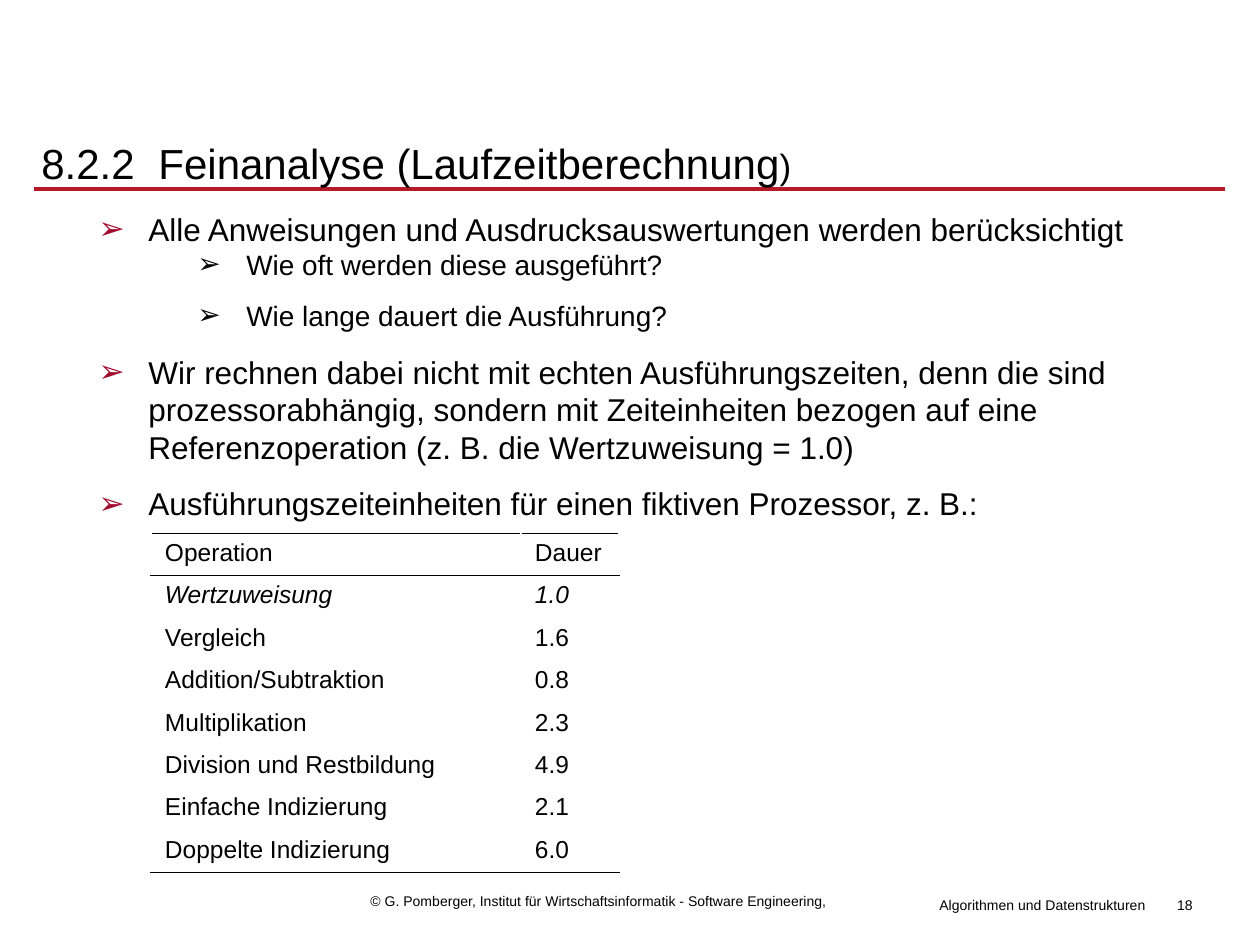
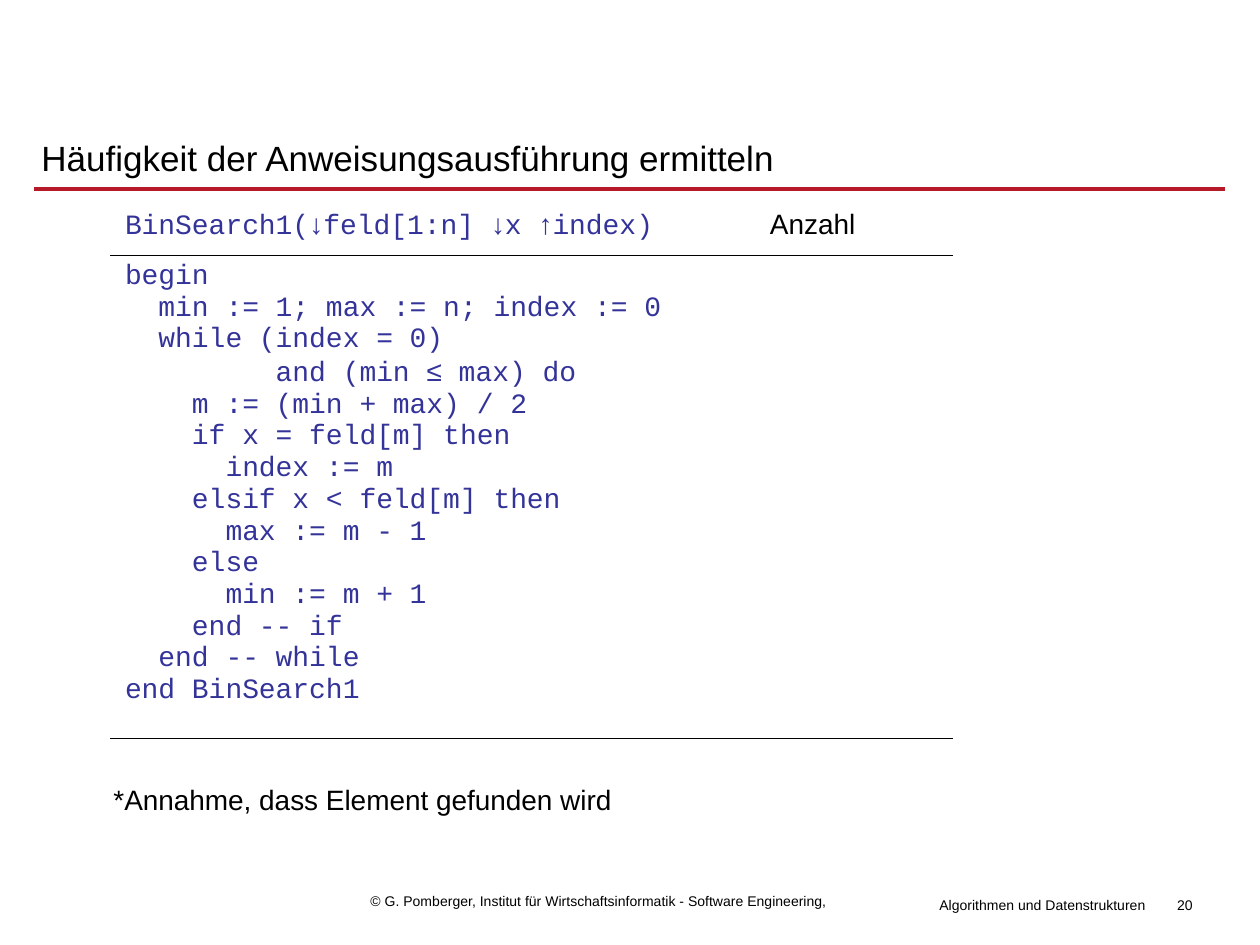
import itertools

import lxml.etree
import pptx
import pptx.dml.color
import pptx.enum.shapes
import pptx.enum.text
import pptx.oxml.ns
import pptx.util

EMU_PER_PX = 914400 / 126
BLACK, RULE_RED, BULLET_RED, CODE_BLUE = "000000", "B61A29", "A20D30", "333399"
BODY_FONT, CODE_FONT = "Arial", "Courier New"
ALIGN = pptx.enum.text.PP_ALIGN
ANCHOR = pptx.enum.text.MSO_ANCHOR

TITLE_BOX = (29, 110, 1201, 96)
COPYRIGHT = "© G. Pomberger, Institut für Wirtschaftsinformatik - Software Engineering,"
COURSE = "Algorithmen und Datenstrukturen"

# Per outline level: left edge of text, hanging indent, size, line pitch, bullet colour
LEVELS = {
    1: (100, 50, 18, 21.4, BULLET_RED),
    2: (198, 49, 16, 19.1, BLACK),
}
# Level, space before in points, text
OUTLINE = [
    (1, 0, "Alle Anweisungen und Ausdrucksauswertungen werden berücksichtigt"),
    (2, 0, "Wie oft werden diese ausgeführt?"),
    (2, 10, "Wie lange dauert die Ausführung?"),
    (1, 12, "Wir rechnen dabei nicht mit echten Ausführungszeiten, denn die sind "
            "prozessorabhängig, sondern mit Zeiteinheiten bezogen auf eine "
            "Referenzoperation (z. B. die Wertzuweisung = 1.0)"),
    (1, 11, "Ausführungszeiteinheiten für einen fiktiven Prozessor, z. B.:"),
]
DURATIONS = [
    ("Operation", "Dauer"),
    ("Wertzuweisung", "1.0"),
    ("Vergleich", "1.6"),
    ("Addition/Subtraktion", "0.8"),
    ("Multiplikation", "2.3"),
    ("Division und Restbildung", "4.9"),
    ("Einfache Indizierung", "2.1"),
    ("Doppelte Indizierung", "6.0"),
]
CODE_HEAD = "BinSearch1(↓feld[1:n] ↓x ↑index)"
CODE = """\
begin
  min := 1; max := n; index := 0
  while (index = 0)
         and (min ≤ max) do
    m := (min + max) / 2
    if x = feld[m] then
      index := m
    elsif x < feld[m] then
      max := m - 1
    else
      min := m + 1
    end -- if
  end -- while
end BinSearch1"""


def px(length):
    return pptx.util.Emu(round(length * EMU_PER_PX))


def color(value):
    return pptx.dml.color.RGBColor.from_string(value)


def add_element(parent, tag, **attributes):
    element = lxml.etree.SubElement(parent, pptx.oxml.ns.qn(tag))
    for name, value in attributes.items():
        element.set(name, str(value))
    return element


def write(frame, text, size=16, font=BODY_FONT, fill=BLACK, italic=False,
          align=ALIGN.LEFT, before=0, pitch=None, bullet=None, tab=None):
    """Write one paragraph; text is a string or a list of (text, size, font)."""
    paragraph = frame.paragraphs[0]
    if paragraph.runs:
        paragraph = frame.add_paragraph()
    properties = paragraph._p.get_or_add_pPr()
    if bullet:
        margin, hanging, bullet_color = bullet
        properties.set("marL", str(px(margin + 12)))
        properties.set("indent", str(-px(hanging)))
        add_element(add_element(properties, "a:buClr"), "a:srgbClr", val=bullet_color)
        add_element(properties, "a:buFont", typeface=BODY_FONT)
        add_element(properties, "a:buChar", char="➢")
    if tab:
        add_element(add_element(properties, "a:tabLst"), "a:tab", pos=px(tab), algn="l")
    paragraph.alignment = align
    if before:
        paragraph.space_before = pptx.util.Pt(before)
    if pitch:
        paragraph.line_spacing = pptx.util.Pt(pitch)
    parts = [(text, size, font)] if isinstance(text, str) else text
    for part, part_size, part_font in parts:
        run = paragraph.add_run()
        run.text = part
        run.font.size = pptx.util.Pt(part_size)
        run.font.name = part_font
        run.font.italic = italic
        run.font.color.rgb = color(fill)


def add_frame(slide, box, anchor=ANCHOR.TOP):
    frame = slide.shapes.add_textbox(*map(px, box)).text_frame
    frame.word_wrap = True
    frame.vertical_anchor = anchor
    return frame


def code_runs(line):
    """Set arrows and relation signs in the body font."""
    return [("".join(group), 16, BODY_FONT if is_symbol else CODE_FONT)
            for is_symbol, group in itertools.groupby(line, lambda sign: sign in "↓↑≤")]


def add_grid(slide, left, top, widths, heights):
    """Add a plain table; heights are in EMU."""
    table = slide.shapes.add_table(len(heights), len(widths), px(left), px(top),
                                   px(sum(widths)), sum(heights)).table
    table.first_row = table.horz_banding = False
    for column, width in zip(table.columns, widths):
        column.width = px(width)
    for row, height in zip(table.rows, heights):
        row.height = height
    for cell in table.iter_cells():
        cell.fill.background()
        cell.margin_left = px(14)
    return table


def add_borders(table, row, *sides):
    for cell in table.rows[row].cells:
        properties = cell._tc.get_or_add_tcPr()
        for position, side in enumerate(sides):
            line = add_element(properties, "a:ln" + side, w=pptx.util.Pt(0.45))
            add_element(add_element(line, "a:solidFill"), "a:srgbClr", val=BLACK)
            properties.insert(position, line)


def add_page_frame(slide, number):
    # Red rule under the title
    rule = slide.shapes.add_connector(pptx.enum.shapes.MSO_CONNECTOR.STRAIGHT,
                                      px(34), px(189), px(1225), px(189))
    rule.line.color.rgb = color(RULE_RED)
    rule.line.width = pptx.util.Pt(1.75)
    add_element(rule._element.spPr, "a:effectLst")
    # Footer
    write(add_frame(slide, (358, 886, 486, 30)), COPYRIGHT, size=8)
    write(add_frame(slide, (927, 890, 238, 30)), COURSE, size=8)
    write(add_frame(slide, (1137, 890, 68, 30)), number, size=8, align=ALIGN.RIGHT)


def add_title(slide, text, drop=0, **format):
    left, top, width, height = TITLE_BOX
    frame = add_frame(slide, (left, top + drop, width, height), ANCHOR.MIDDLE)
    write(frame, text, **format)


def add_outline(slide, box):
    frame = add_frame(slide, box)
    for level, before, text in OUTLINE:
        margin, hanging, size, pitch, bullet_color = LEVELS[level]
        write(frame, text, size=size, before=before, pitch=pitch,
              bullet=(margin - 13, hanging, bullet_color))


def add_duration_table(slide, box):
    left, top, width, height = box
    row_height = px(height) // len(DURATIONS)
    table = add_grid(slide, left, top, (width - 98, 98), [row_height] * len(DURATIONS))
    for row, values in enumerate(DURATIONS):
        for column, value in enumerate(values):
            write(table.cell(row, column).text_frame, value, size=14, italic=row == 1)
    add_borders(table, 0, "T", "B")
    add_borders(table, 1, "T")
    add_borders(table, len(DURATIONS) - 1, "B")


def add_code_table(slide, box):
    left, top, width, height = box
    head_height = 52
    table = add_grid(slide, left, top, (width - 196, 196),
                     [px(head_height), px(height - head_height)])
    write(table.cell(0, 0).text_frame, code_runs(CODE_HEAD), fill=CODE_BLUE)
    write(table.cell(0, 1).text_frame, "Anzahl")
    for line in CODE.splitlines():
        write(table.cell(1, 0).text_frame, code_runs(line), fill=CODE_BLUE)
    add_borders(table, 0, "B")
    add_borders(table, 1, "T", "B")


def build_duration_slide(slide):
    add_page_frame(slide, "18")
    add_title(slide, [("8.2.2\tFeinanalyse (Laufzeitberechnung", 24, BODY_FONT),
                      (")", 20, BODY_FONT)], drop=5, tab=117)
    add_outline(slide, (37, 204, 1186, 669))
    add_duration_table(slide, (151, 533, 468, 339))


def build_frequency_slide(slide):
    add_page_frame(slide, "20")
    add_title(slide, "Häufigkeit der Anweisungsausführung ermitteln", size=20)
    add_code_table(slide, (111, 203, 841, 535))
    # Footnote below the table
    write(add_frame(slide, (101, 776, 1000, 45)), "*Annahme, dass Element gefunden wird")


def main():
    presentation = pptx.Presentation()
    presentation.slide_width, presentation.slide_height = px(1260), px(945)
    for build in (build_duration_slide, build_frequency_slide):
        build(presentation.slides.add_slide(presentation.slide_layouts[6]))
    presentation.save("out.pptx")


if __name__ == "__main__":
    main()
